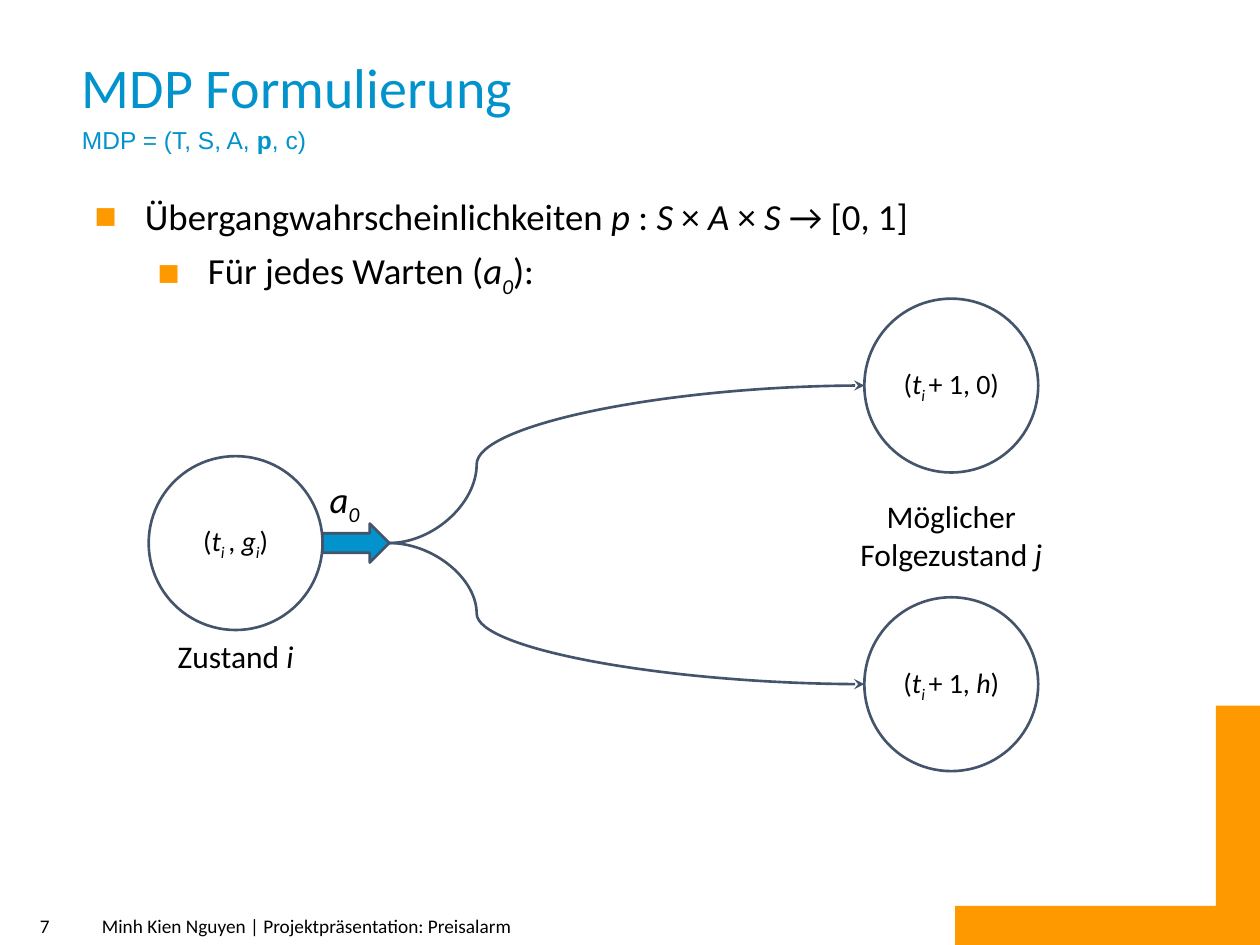
from pptx import Presentation
from pptx.dml.color import RGBColor
from pptx.enum.dml import MSO_FILL
from pptx.enum.shapes import MSO_CONNECTOR as Link, MSO_SHAPE as Kind
from pptx.enum.text import MSO_ANCHOR as Anchor, MSO_AUTO_SIZE as Fit, PP_ALIGN as Align
from pptx.oxml.ns import qn
from pptx.util import Inches, Pt
from lxml.etree import SubElement as Sub

BLACK, BLUE, ORANGE, SLATE = "000000", "0393CC", "FF9900", "44546A"
SIZE = 1.38
STATE, NEXT = 1.18, 6.86
MID, TOP, LOW = 4.31, 3.06, 5.43
TIP = 3.09


def color(code):
    """Turn a hex string into a colour."""
    return RGBColor.from_string(code)


def place(shape, box):
    """Move a shape to left, top, width, height in inches."""
    shape.left, shape.top, shape.width, shape.height = map(Inches, box)


def setup(frame, anchor=Anchor.MIDDLE, pad=(0.1, 0.1)):
    """Set wrapping, anchor and insets of a text frame."""
    frame.word_wrap = True
    frame.auto_size = Fit.NONE
    frame.vertical_anchor = anchor
    frame.margin_left = frame.margin_right = Inches(pad[0])
    frame.margin_top = frame.margin_bottom = Inches(pad[1])


def write(para, runs, size, tint=BLACK, face="Calibri"):
    """Add runs given as (text, marks); i, b and s mark italic, bold and subscript."""
    for text, marks in runs:
        run = para.add_run()
        run.text = text
        font = run.font
        font.name, font.size = face, Pt(size)
        font.color.rgb = color(tint)
        font.italic, font.bold = "i" in marks, "b" in marks
        if "s" in marks:
            font._element.set("baseline", "-25000")


def label(slide, box, runs, size, align=Align.CENTER, pad=(0.1, 0.1)):
    """Add a text box with one paragraph."""
    frame = slide.shapes.add_textbox(*map(Inches, box)).text_frame
    setup(frame, pad=pad)
    para = frame.paragraphs[0]
    para.alignment = align
    write(para, runs, size)


def paint(shape, fill=None, line=None):
    """Set fill and outline and drop the shadow."""
    shape.shadow.inherit = False
    if fill:
        shape.fill.solid()
        shape.fill.fore_color.rgb = color(fill)
    else:
        shape.fill.background()
    if line:
        shape.line.color.rgb = color(line)
        shape.line.width = Pt(1.5)
    else:
        shape.line.fill.background()


def node(slide, left, mid, runs):
    """Add a state circle centred on a height."""
    box = left, mid - SIZE / 2, SIZE, SIZE
    shape = slide.shapes.add_shape(Kind.OVAL, *map(Inches, box))
    paint(shape, line=SLATE)
    setup(shape.text_frame)
    para = shape.text_frame.paragraphs[0]
    para.alignment = Align.CENTER
    write(para, runs, 16)


def curve(slide, end):
    """Add a curved arrow from the action to a next state."""
    ends = map(Inches, (TIP, MID, NEXT, end))
    link = slide.shapes.add_connector(Link.CURVE, *ends)
    link.line.color.rgb = color(SLATE)
    link.line.width = Pt(1.5)
    props = link._element.spPr
    Sub(props.find(qn("a:ln")), qn("a:tailEnd"), type="stealth")
    Sub(props, qn("a:effectLst"))
    guides = props.find(qn("a:prstGeom")).get_or_add_avLst()
    Sub(guides, qn("a:gd"), name="adj1", fmla="val 18400")


def corner(slide):
    """Add the orange corner bar."""
    points = [(10, 5.6), (10, 7.5), (7.58, 7.5), (7.58, 7.19), (9.65, 7.19)]
    pen = slide.shapes.build_freeform(Inches(9.65), Inches(5.6))
    pen.add_line_segments([tuple(map(Inches, p)) for p in points], close=True)
    paint(pen.convert_to_shape(), ORANGE)


def bullet(para, level, runs):
    """Fill a paragraph with a square bullet and runs."""
    para.level = level
    props = para._p.get_or_add_pPr()
    props.set("marL", str(Inches(0.5 * (level + 1))))
    props.set("indent", str(Inches(-0.4)))
    para.line_spacing = 1.2
    para.space_before = Pt(0)
    Sub(Sub(props, qn("a:buClr")), qn("a:srgbClr"), val=ORANGE)
    Sub(props, qn("a:buFont"), typeface="Arial")
    Sub(props, qn("a:buChar"), char="■")
    write(para, runs, 21)


def heading(shape):
    """Fill the title with its two lines."""
    place(shape, (0.55, 0.24, 7.02, 1.13))
    frame = shape.text_frame
    setup(frame, Anchor.TOP)
    first, second = frame.paragraphs[0], frame.add_paragraph()
    for para in (first, second):
        para.alignment = Align.LEFT
        para.line_spacing = 1.15
        para.space_before = Pt(0)
    write(first, [("MDP Formulierung", "")], 32, BLUE)
    parts = [("MDP = (T, S, A, ", ""), ("p", "b"), (", c)", "")]
    write(second, parts, 14, BLUE, "Arial")


def body(shape):
    """Fill the list."""
    place(shape, (0.55, 1.37, 8.74, 5.52))
    frame = shape.text_frame
    setup(frame, Anchor.TOP)
    bullet(frame.paragraphs[0], 0, [
        ("Übergangwahrscheinlichkeiten ", ""), ("p", "i"), (" : ", ""),
        ("S ", "i"), ("× ", ""), ("A", "i"), (" × ", ""), ("S ", "i"),
        ("→ [0, 1]", "")])
    bullet(frame.add_paragraph(), 1, [
        ("Für jedes Warten (", ""), ("a", "i"), ("0", "is"), ("):", "")])


def graph(slide):
    """Draw the states, the action and the transitions."""
    time = [("(", ""), ("t", "i"), ("i ", "is")]
    node(slide, STATE, MID, time + [(", ", ""), ("g", "i"), ("i", "is"), (")", "")])
    left = STATE + SIZE
    box = left, MID - 0.155, TIP - left, 0.31
    arrow = slide.shapes.add_shape(Kind.RIGHT_ARROW, *map(Inches, box))
    paint(arrow, BLUE, SLATE)
    nexts = {TOP: [("+ 1, 0)", "")],
             LOW: [("+ 1, ", ""), ("h", "i"), (")", "")]}
    for mid, runs in nexts.items():
        node(slide, NEXT, mid, time + runs)
        curve(slide, mid)
    label(slide, (2.47, 3.78, 0.53, 0.41), [("a", "i"), ("0", "is")], 21)
    label(slide, (1.13, 5, 1.48, 0.41), [("Zustand ", ""), ("i", "i")], 18)
    label(slide, (6.62, 3.94, 1.86, 0.61),
          [("Möglicher Folgezustand ", ""), ("j", "i")], 18)


def main():
    """Build and save the slide."""
    deck = Presentation()
    deck.slide_width, deck.slide_height = Inches(10), Inches(7.5)
    slide = deck.slides.add_slide(deck.slide_layouts[1])
    heading(slide.shapes.title)
    body(slide.placeholders[1])
    corner(slide)
    label(slide, (0, 7.19, 0.71, 0.31), [("7", "")], 11, pad=(0.07, 0.04))
    label(slide, (0.71, 7.19, 7.02, 0.31),
          [("Minh Kien Nguyen | Projektpräsentation: Preisalarm", "")], 11, Align.LEFT)
    graph(slide)
    deck.save("out.pptx")


if __name__ == "__main__":
    main()
